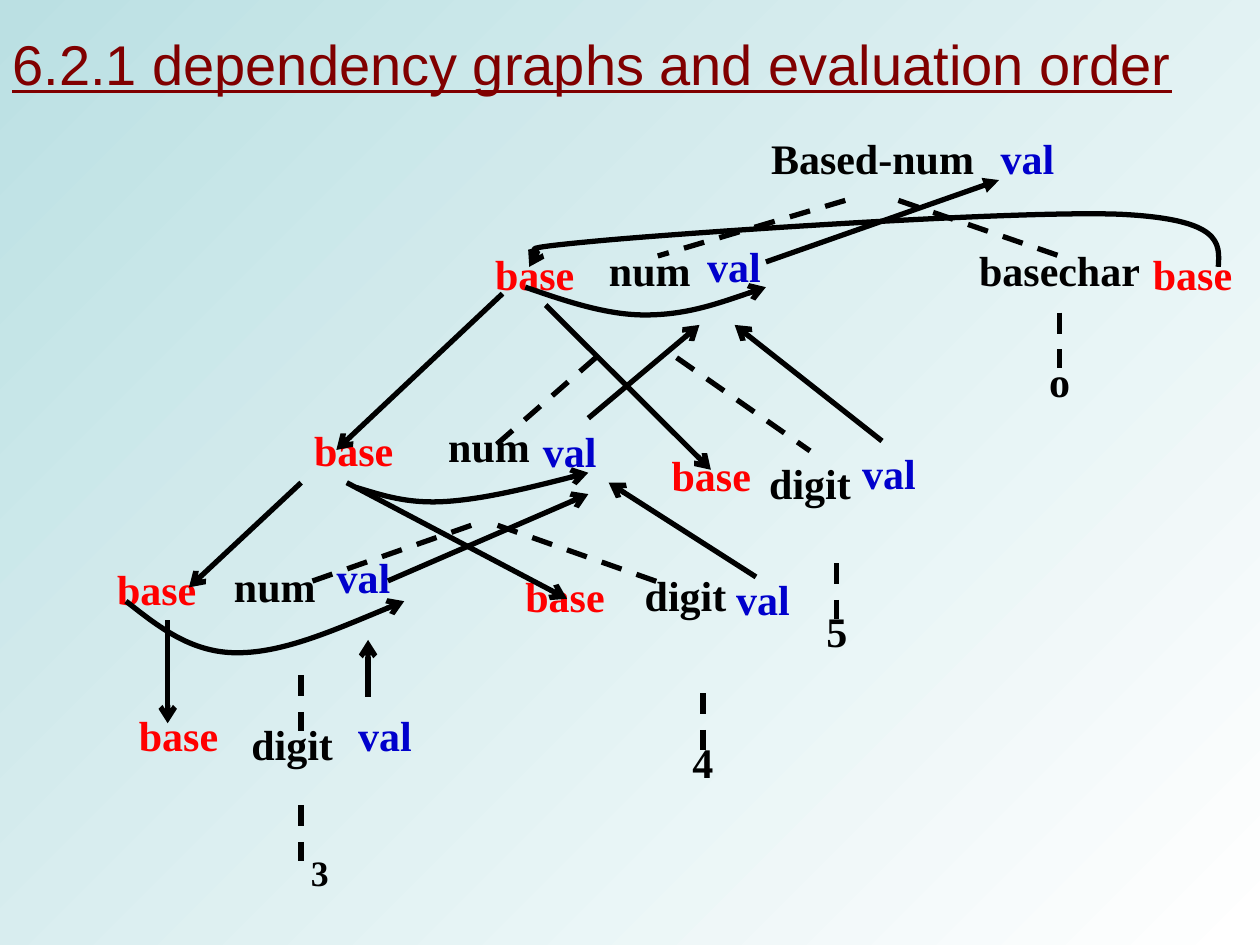
from dataclasses import dataclass

from lxml.etree import SubElement
from pptx import Presentation
from pptx.dml.color import RGBColor
from pptx.enum.dml import MSO_LINE
from pptx.enum.shapes import MSO_CONNECTOR
from pptx.enum.text import MSO_ANCHOR, PP_ALIGN
from pptx.oxml.ns import qn
from pptx.util import Cm, Pt


@dataclass(frozen=True)
class Theme:
    heading: RGBColor = RGBColor(0x80, 0x00, 0x00)
    symbol: RGBColor = RGBColor(0x00, 0x00, 0x00)
    inherited: RGBColor = RGBColor(0xFF, 0x00, 0x00)
    synthesized: RGBColor = RGBColor(0x00, 0x00, 0xCC)
    backdrop: tuple = (RGBColor(0xBB, 0xE0, 0xE3), RGBColor(0xFF, 0xFF, 0xFF))
    heading_font: str = "Arial"
    label_font: str = "Times New Roman"
    heading_size: float = 32
    label_size: float = 24
    small_size: float = 20.4
    stroke: float = 3


class GraphSlide:
    def __init__(self, slide, theme):
        self.slide = slide
        self.theme = theme

    def background(self):
        fill = self.slide.background.fill
        fill.gradient()
        fill.gradient_angle = 315
        for stop, color in zip(fill.gradient_stops, self.theme.backdrop):
            stop.color.rgb = color

    def text(self, words, box, color, size, font):
        frame = self.slide.shapes.add_textbox(*map(Cm, box)).text_frame
        frame.word_wrap = True
        paragraph = frame.paragraphs[0]
        run = paragraph.add_run()
        run.text = words
        run.font.name = font
        run.font.size = Pt(size)
        run.font.color.rgb = color
        return frame, paragraph, run

    def title(self, words, box):
        theme = self.theme
        frame, _, run = self.text(words, box, theme.heading, theme.heading_size, theme.heading_font)
        frame.vertical_anchor = MSO_ANCHOR.MIDDLE
        run.font.underline = True

    def label(self, words, box, color, size=None, spacing=None):
        _, paragraph, run = self.text(
            words, box, color, size or self.theme.label_size, self.theme.label_font
        )
        paragraph.alignment = PP_ALIGN.CENTER
        paragraph.line_spacing = spacing
        run.font.bold = True

    def stroke(self, line, tip=None):
        line.color.rgb = self.theme.symbol
        line.width = Pt(self.theme.stroke)
        if tip:
            SubElement(line._get_or_add_ln(), qn("a:tailEnd"), type=tip)

    def edge(self, ends, tip=None):
        link = self.slide.shapes.add_connector(MSO_CONNECTOR.STRAIGHT, *map(Cm, ends))
        if not tip:
            link.line.dash_style = MSO_LINE.DASH
        self.stroke(link.line, tip)
        SubElement(link._element.spPr, qn("a:effectLst"))

    def curve(self, points):
        start, *controls = [(Cm(x), Cm(y)) for x, y in points]
        builder = self.slide.shapes.build_freeform(*start)
        builder.add_line_segments(controls, close=False)
        arc = builder.convert_to_shape()
        arc.shadow.inherit = False
        arc.fill.background()
        self.stroke(arc.line, "arrow")
        outline = next(arc._element.iter(qn("a:path")))
        segments = outline.findall(qn("a:lnTo"))
        for first in range(0, len(segments), 3):
            bezier = SubElement(outline, qn("a:cubicBezTo"))
            for segment in segments[first:first + 3]:
                bezier.append(segment[0])
                outline.remove(segment)


SYMBOLS = [
    ("num", 3.38, 11.18, 4.32, 2.77),
    ("digit", 3.73, 14.35, 4.32, 3.18),
    ("Based-num", 14.35, 2.54, 6.48, 1.88),
    ("num", 9.86, 4.8, 6.48, 2.44),
    ("basechar", 19.2, 4.8, 4.32, 1.88),
    ("num", 5.54, 8.36, 8.64, 2.64),
    ("digit", 11.66, 11.35, 4.32, 2.64),
    ("o", 19.2, 7.04, 4.32, 1.88),
    ("4", 12.01, 14.73, 4.32, 1.88),
    ("digit", 14.17, 9.09, 4.32, 2.64),
    ("5", 14.71, 12.09, 4.32, 1.88),
]
VALS = [
    (5.08, 11, 4.5, 2.77),
    (5.51, 14.17, 4.5, 3.18),
    (17.35, 2.54, 6.73, 1.88),
    (11.43, 4.72, 6.73, 2.44),
    (6.99, 8.46, 8.99, 2.62),
    (13.13, 11.43, 4.5, 2.62),
    (15.67, 8.89, 4.5, 2.62),
]
BASE_SIZE = (3.38, 1.57)
BASES = [
    (9.09, 4.88), (5.44, 8.43), (1.47, 11.23),
    (1.91, 14.17), (12.65, 8.94), (9.7, 11.38),
]
TREE_EDGES = [
    (17.04, 4.04, 13.26, 5.16),
    (18.11, 4.04, 21.36, 5.16),
    (21.36, 6.3, 21.36, 7.42),
    (9.5, 10.59, 6.25, 11.73),
    (10.03, 10.59, 13.26, 11.73),
    (6.07, 13.61, 6.07, 14.73),
    (14.17, 13.97, 14.17, 15.11),
    (6.07, 16.23, 6.07, 17.35),
    (12.01, 7.21, 9.86, 9.09),
    (13.64, 7.21, 16.33, 9.09),
    (16.87, 11.35, 16.87, 12.47),
]
ROOT_DEPENDENCY = (15.44, 5.28, 20.14, 3.63)
DEPENDENCIES = [
    (7.82, 11.71, 11.86, 9.96),
    (15.24, 11.63, 12.27, 9.73),
    (7.42, 14.05, 7.42, 12.9),
    (11.86, 8.43, 14.1, 6.55),
    (17.78, 8.89, 14.81, 6.55),
    (10.13, 5.92, 6.78, 9.07),
    (6.07, 9.73, 3.81, 11.84),
    (3.38, 12.5, 3.38, 14.58),
    (11, 6.15, 14.33, 9.47),
    (6.99, 9.73, 11.43, 12.07),
]
CURVED_DEPENDENCIES = [
    [(24.56, 5.38), (24.59, 4.9), (24.64, 4.42), (22.58, 4.32), (20.5, 4.24),
     (14.12, 4.67), (12.14, 4.85), (10.16, 5.03), (10.9, 5.28), (10.67, 5.38)],
    [(10.59, 5.79), (11.4, 6.07), (12.22, 6.35), (13, 6.35),
     (13.82, 6.35), (14.63, 6.07), (15.44, 5.79)],
    [(7.19, 9.83), (7.7, 9.98), (8.2, 10.16), (8.99, 10.11),
     (9.75, 10.06), (10.82, 9.8), (11.86, 9.53)],
    [(2.54, 12.12), (3.18, 12.62), (3.84, 13.16), (4.78, 13.16),
     (5.72, 13.16), (6.93, 12.62), (8.15, 12.12)],
]


def main():
    deck = Presentation()
    deck.slide_width, deck.slide_height = Cm(25.4), Cm(19.05)
    theme = Theme()
    graph = GraphSlide(deck.slides.add_slide(deck.slide_layouts[6]), theme)

    graph.background()
    graph.title("6.2.1 dependency graphs and evaluation order", (0, 0.43, 25.4, 1.7))
    for symbol, *box in SYMBOLS:
        graph.label(symbol, box, theme.symbol)
    graph.label("3", (4.29, 17.12, 4.32, 1.19), theme.symbol, theme.small_size, 0.9)
    for ends in TREE_EDGES:
        graph.edge(ends)
    for box in VALS:
        graph.label("val", box, theme.synthesized)
    graph.label("base", (21.79, 4.88, 4.5, 1.88), theme.inherited)
    for corner in BASES:
        graph.label("base", corner + BASE_SIZE, theme.inherited)
    graph.edge(ROOT_DEPENDENCY, "triangle")
    for ends in DEPENDENCIES:
        graph.edge(ends, "arrow")
    for points in CURVED_DEPENDENCIES:
        graph.curve(points)

    deck.save("out.pptx")


if __name__ == "__main__":
    main()
